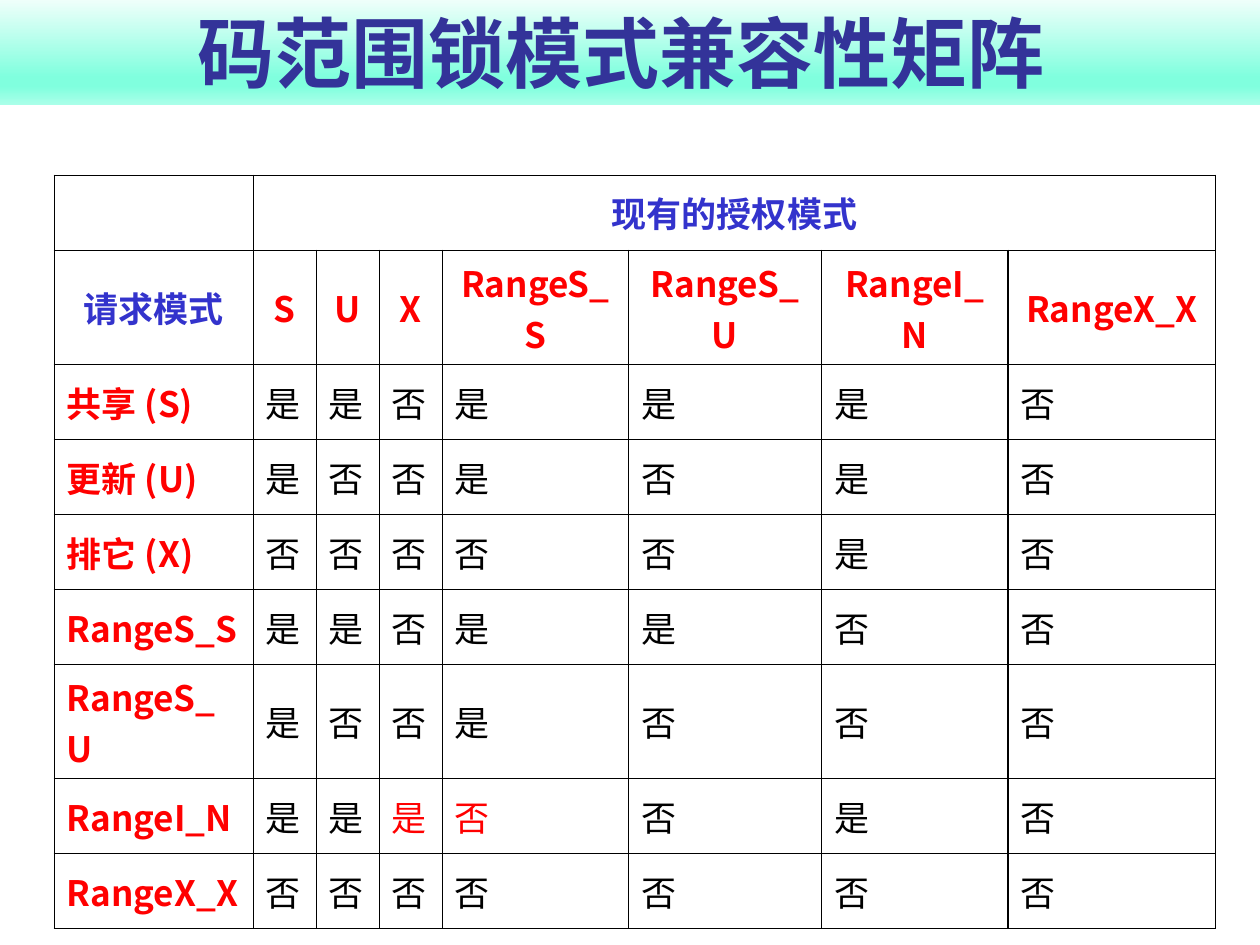
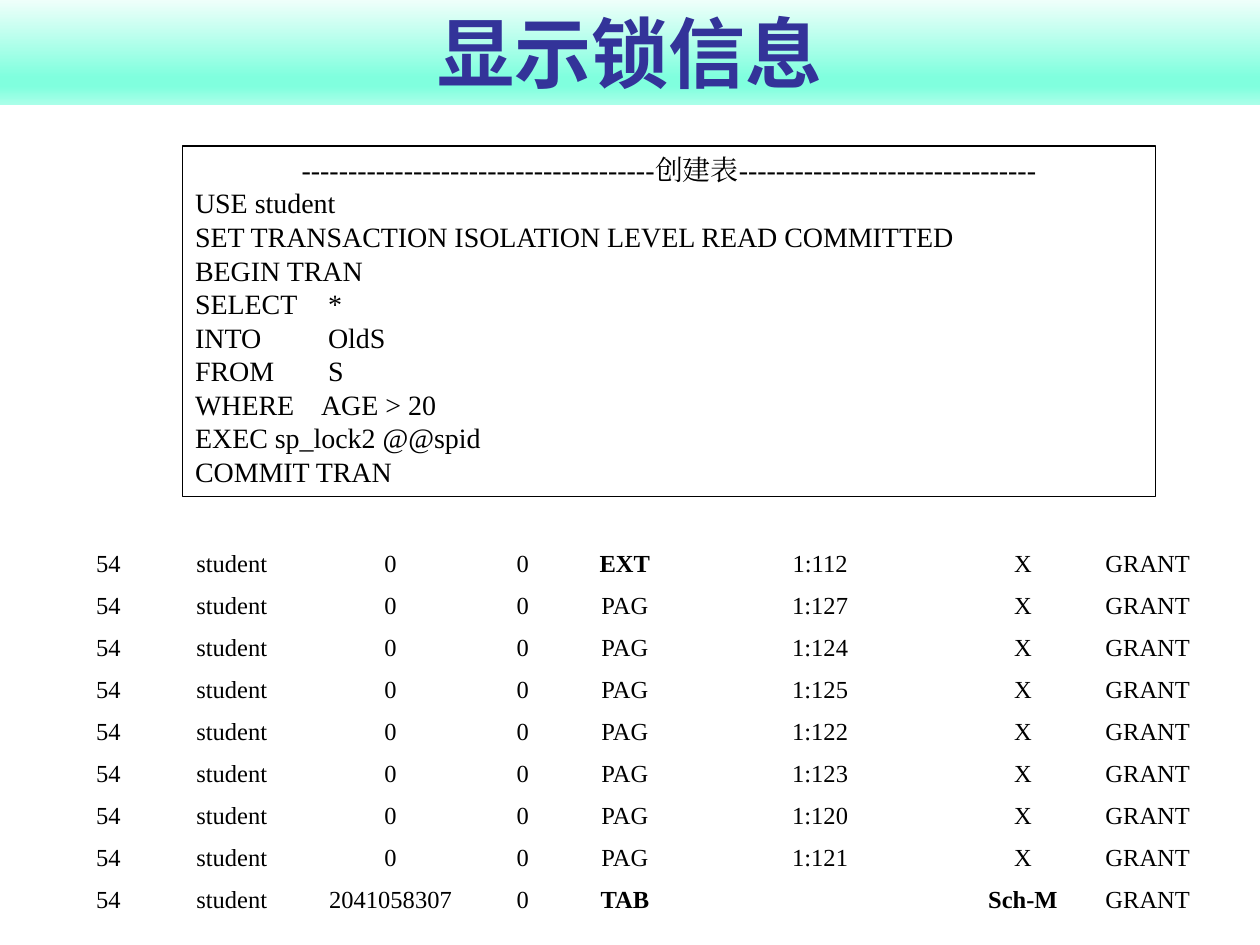
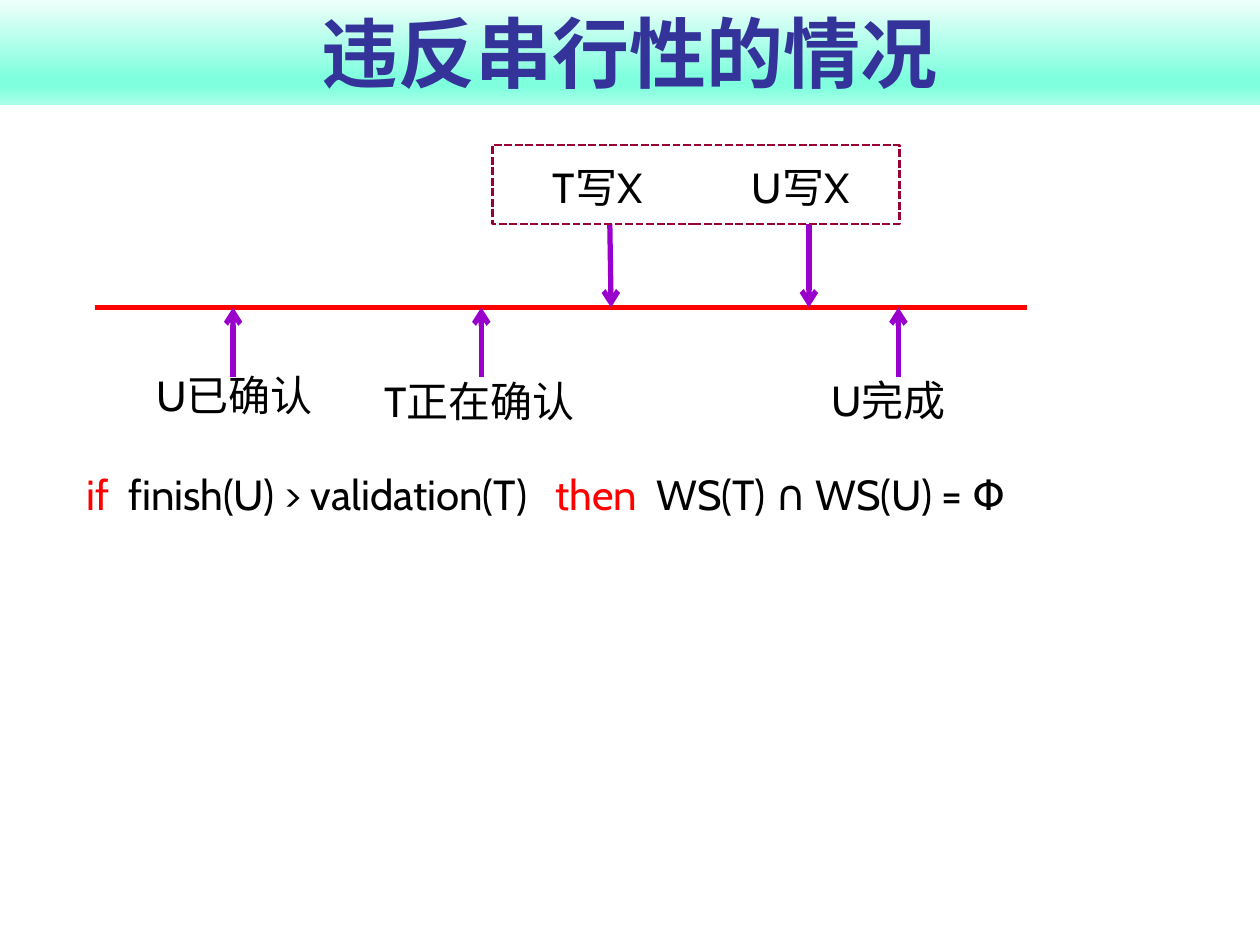
from dataclasses import dataclass

from lxml import etree
from pptx import Presentation
from pptx.dml.color import RGBColor
from pptx.enum.dml import MSO_LINE
from pptx.enum.shapes import MSO_CONNECTOR, MSO_SHAPE
from pptx.enum.text import MSO_ANCHOR, PP_ALIGN
from pptx.oxml.ns import qn
from pptx.util import Inches, Pt

LEFT, MID, JUST = PP_ALIGN.LEFT, PP_ALIGN.CENTER, PP_ALIGN.JUSTIFY
TOP, CORE, LOW = MSO_ANCHOR.TOP, MSO_ANCHOR.MIDDLE, MSO_ANCHOR.BOTTOM
RECT, LINE, DASH = MSO_SHAPE.RECTANGLE, MSO_CONNECTOR.STRAIGHT, MSO_LINE.SQUARE_DOT


@dataclass(frozen=True)
class Theme:
    title: str = "333399"
    head: str = "3333CC"
    red: str = "FF0000"
    ink: str = "000000"
    paper: str = "FFFFFF"
    arrow: str = "9900CC"
    frame: str = "990033"
    band: tuple = ((0, "F1FFFB"), (74, "80FFDE"), (83, "80FFDE"), (100, "AAFFE9"))
    sans: str = "Cabin"
    grid: str = "Noto Sans CJK JP"
    serif: str = "Times New Roman"
    big: int = 44
    body: int = 24
    cell: int = 20
    code: int = 16
    log: int = 14


T = Theme()

MODES = ["RangeS_S", "RangeS_U", "RangeI_N", "RangeX_X"]
LOCKS = {
    "title": "码范围锁模式兼容性矩阵 ",
    "head": "现有的授权模式",
    "top": ["请求模式", "S", "U", "X"] + MODES,
    "rows": ["共享 (S)", "更新 (U)", "排它 (X)"] + MODES,
    "marks": ["是是否是是是否", "是否否是否是否", "否否否否否是否", "是是否是是否否",
              "是否否是否否否", "是是是否否是否", "否否否否否否否"],
    "red": {("RangeI_N", 3), ("RangeI_N", 4)},
    "cols": [1.58, 0.5, 0.5, 0.5, 1.48, 1.53, 1.48, 1.65],
}

INFO = {
    "title": "显示锁信息",
    "head": "-" * 38 + "创建表" + "-" * 32,
    "code": ["USE student", "SET TRANSACTION ISOLATION LEVEL READ COMMITTED", "BEGIN TRAN",
             "SELECT\t *", "INTO\t OldS", "FROM\t S", "WHERE \tAGE > 20",
             "EXEC sp_lock2 @@spid", "COMMIT TRAN"],
    "rows": [("0", "EXT", "1:112", "X")]
    + [("0", "PAG", f"1:{page}", "X") for page in (127, 124, 125, 122, 123, 120, 121)]
    + [("2041058307", "TAB", "", "Sch-M")],
    "bold": {"EXT", "TAB", "Sch-M"},
    "cols": [0.7, 1.26, 1.26, 0.84, 0.78, 2.32, 0.9, 1.08],
}

ORDER = {
    "title": "违反串行性的情况",
    "axis": (0.75, 8.15, 2.44),
    "above": [(4.84, 4.85), (6.42, 6.42)],
    "below": [1.85, 3.82, 7.13],
    "notes": [("U已确认", 1.14, 2.88, 1.81), ("T写X", 4.29, 1.23, 1.1),
              ("U完成", 6.5, 2.92, 1.5), ("U写X", 5.87, 1.23, 1.26),
              ("T正在确认", 2.95, 2.93, 1.73)],
    "rule": [("if", T.red), ("\tfinish(U) > validation(T)", T.ink),
             ("\tthen", T.red), ("\tWS(T) ∩ WS(U) = Φ", T.ink)],
    "tabs": [0.33, 3.72, 4.52],
}


def rgb(code):
    return RGBColor.from_string(code)


def node(root, tag, **attrs):
    return etree.SubElement(root, qn(tag), **attrs)


def write(frame, lines, size=T.body, face=T.sans, color=T.ink, bold=False,
          align=LEFT, anchor=None, tabs=()):
    frame.word_wrap = True
    if anchor is not None:
        frame.vertical_anchor = anchor
    for i, line in enumerate(lines):
        para = frame.add_paragraph() if i else frame.paragraphs[0]
        para.alignment = align
        if tabs:
            stops = node(para._p.get_or_add_pPr(), "a:tabLst")
            for stop in tabs:
                node(stops, "a:tab", pos=str(Inches(stop)), algn="l")
        for words, tint in [(line, color)] if isinstance(line, str) else line:
            run = para.add_run()
            run.text = words
            font = run.font
            font.size, font.bold, font.name = Pt(size), bold, face
            font.color.rgb = rgb(tint)
            node(font._element, "a:ea", typeface=face)


def box(slide, at, fill=None, line=None, width=0.75, dash=None):
    shape = slide.shapes.add_shape(RECT, *map(Inches, at))
    shape.shadow.inherit = False
    if fill:
        shape.fill.solid()
        shape.fill.fore_color.rgb = rgb(fill)
    else:
        shape.fill.background()
    if line:
        shape.line.color.rgb = rgb(line)
        shape.line.width = Pt(width)
        shape.line.dash_style = dash
    else:
        shape.line.fill.background()
    return shape


def page(deck, title):
    slide = deck.slides.add_slide(deck.slide_layouts[6])
    band = box(slide, (0, -0.01, 10, 0.84))
    band.fill.gradient()
    band.fill.gradient_angle = 270
    stops = band._element.spPr.find(qn("a:gradFill")).find(qn("a:gsLst"))
    for stop in list(stops):
        stops.remove(stop)
    for pos, color in T.band:
        node(node(stops, "a:gs", pos=str(pos * 1000)), "a:srgbClr", val=color)
    write(band.text_frame, [title], size=T.big, color=T.title, bold=True,
          align=MID, anchor=LOW)
    return slide


def stroke(slide, x1, y1, x2, y2, color, arrow=True):
    line = slide.shapes.add_connector(LINE, *map(Inches, (x1, y1, x2, y2)))
    line.line.color.rgb = rgb(color)
    line.line.width = Pt(3)
    if arrow:
        node(line.line._get_or_add_ln(), "a:tailEnd", type="arrow")
    node(line._element.spPr, "a:effectLst")


def edge(cell):
    props = cell._tc.get_or_add_tcPr()
    for i, side in enumerate(("a:lnL", "a:lnR", "a:lnT", "a:lnB")):
        line = etree.Element(qn(side), w=str(Pt(0.75)))
        node(node(line, "a:solidFill"), "a:srgbClr", val=T.ink)
        props.insert(i, line)


def table(slide, at, cols, count):
    grid = slide.shapes.add_table(count, len(cols), *map(Inches, at)).table
    grid.first_row = grid.horz_banding = False
    for col, width in zip(grid.columns, cols):
        col.width = Inches(width)
    for row in grid.rows:
        row.height = Inches(at[3] / count)
    for cell in grid.iter_cells():
        cell.fill.background()
        cell.vertical_anchor = CORE
    return grid


def locks(deck):
    slide = page(deck, LOCKS["title"])
    grid = table(slide, (0.43, 1.39, 9.21, 5.36), LOCKS["cols"], 9)
    for cell in grid.iter_cells():
        edge(cell)
    grid.cell(0, 1).merge(grid.cell(0, 7))

    def put(row, col, words, **look):
        write(grid.cell(row, col).text_frame, [words], size=T.cell, face=T.grid, **look)

    put(0, 1, LOCKS["head"], color=T.head, bold=True, align=MID)
    for col, name in enumerate(LOCKS["top"]):
        put(1, col, name, color=T.red if col else T.head, bold=True, align=MID)
    for row, (name, marks) in enumerate(zip(LOCKS["rows"], LOCKS["marks"]), 2):
        put(row, 0, name, color=T.red, bold=True)
        for col, mark in enumerate(marks, 1):
            put(row, col, mark, color=T.red if (name, col) in LOCKS["red"] else T.ink)


def info(deck):
    slide = page(deck, INFO["title"])
    code = box(slide, (1.45, 1.16, 7.72, 2.78), fill=T.paper, line=T.ink)
    write(code.text_frame, [INFO["head"]] + INFO["code"], size=T.code, face=T.serif,
          align=JUST, anchor=TOP)
    code.text_frame.paragraphs[0].alignment = MID
    grid = table(slide, (0.51, 4.31, 9.13, 3), INFO["cols"], len(INFO["rows"]))
    for row, (item, kind, place, mode) in enumerate(INFO["rows"]):
        for col, words in enumerate(("54", "student", item, "0", kind, place, mode, "GRANT")):
            cell = grid.cell(row, col)
            cell.margin_top = cell.margin_bottom = 0
            if words:
                write(cell.text_frame, [words], size=T.log, face=T.serif,
                      bold=words in INFO["bold"], align=MID)


def order(deck):
    slide = page(deck, ORDER["title"])
    start, end, y = ORDER["axis"]
    stroke(slide, start, y, end, y, T.red, arrow=False)
    for x1, x2 in ORDER["above"]:
        stroke(slide, x1, 1.78, x2, y, T.arrow)
    for x in ORDER["below"]:
        stroke(slide, x, 2.99, x, y, T.arrow)

    def note(line, x, top, width, **look):
        area = slide.shapes.add_textbox(*map(Inches, (x, top, width, 0.5)))
        write(area.text_frame, [line], **look)

    for item in ORDER["notes"]:
        note(*item)
    note(ORDER["rule"], 0.59, 3.67, 8.8, tabs=ORDER["tabs"])
    box(slide, (3.91, 1.15, 3.23, 0.63), line=T.frame, width=1.5, dash=DASH)


def main():
    deck = Presentation()
    deck.slide_width, deck.slide_height = Inches(10), Inches(7.5)
    for build in (locks, info, order):
        build(deck)
    deck.save("out.pptx")


if __name__ == "__main__":
    main()
